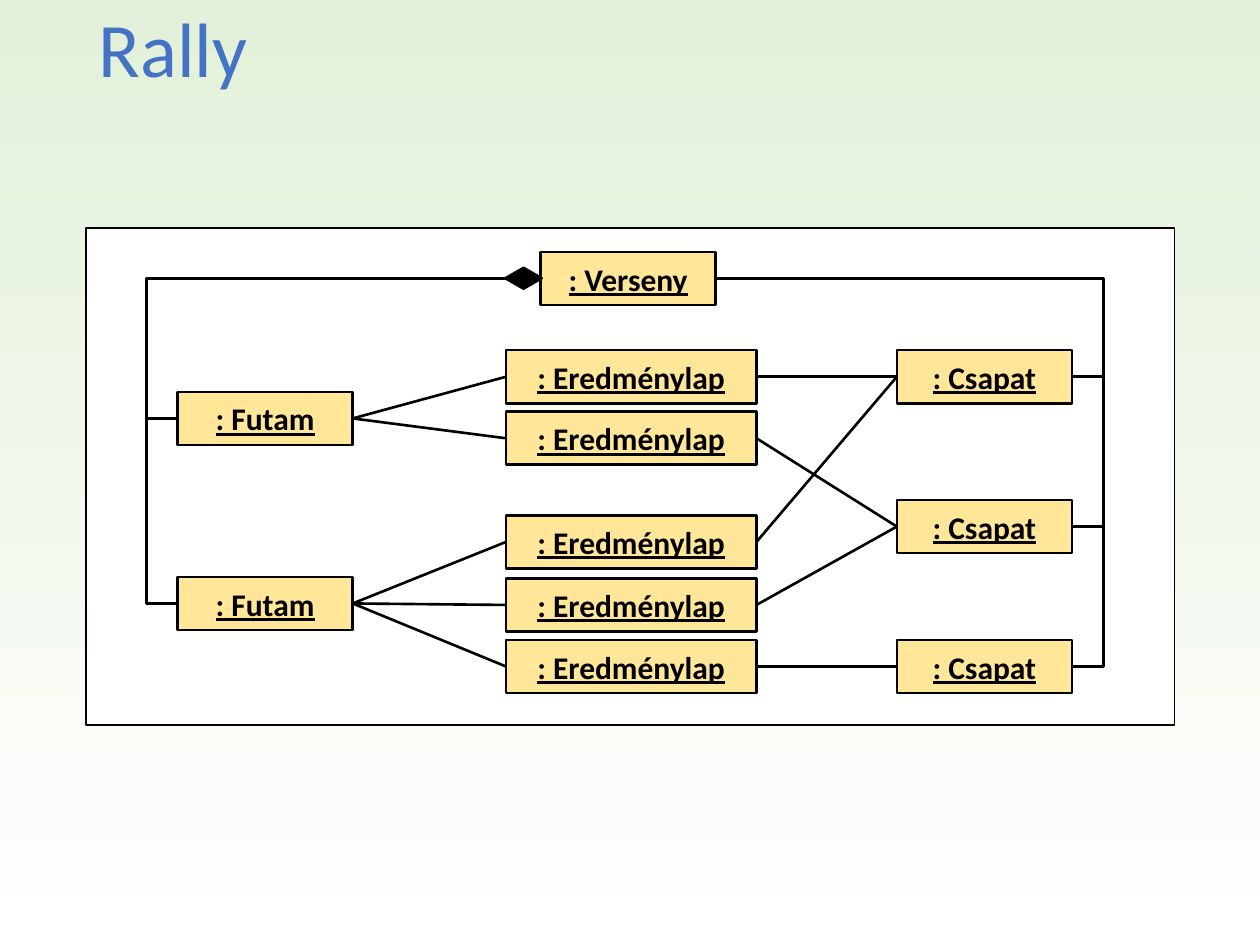
from dataclasses import dataclass

import pptx
import pptx.dml.color
import pptx.enum.shapes
import pptx.enum.text
import pptx.oxml
import pptx.util
from pptx.util import Cm

FONT = "Calibri"
BLACK, WHITE, SAND, BLUE, GREEN = "000000", "FFFFFF", "FFE699", "4472C4", "E2F0D9"
LEFT, RIGHT = 1, 3  # connection sites of a rectangle
Kind = pptx.enum.shapes.MSO_SHAPE
Link = pptx.enum.shapes.MSO_CONNECTOR
Align = pptx.enum.text.PP_ALIGN
Anchor = pptx.enum.text.MSO_ANCHOR


@dataclass
class Box:
    """An object box; lengths in centimetres."""
    text: str
    left: float
    top: float
    width: float = 3.53
    height: float = 1.07

    def port(self, side: int) -> tuple:
        x = self.left + (self.width if side == RIGHT else 0)
        return Cm(x), Cm(self.top + self.height / 2)


def color(code: str):
    return pptx.dml.color.RGBColor.from_string(code)


def style(run, size: float, code: str) -> None:
    run.font.name = FONT
    run.font.size = pptx.util.Pt(size)
    run.font.color.rgb = color(code)


def draw_shape(slide, kind, spot: tuple, fill: str, width: float):
    shape = slide.shapes.add_shape(kind, *(Cm(n) for n in spot))
    shape.shadow.inherit = False
    shape.fill.solid()
    shape.fill.fore_color.rgb = color(fill)
    shape.line.color.rgb = color(BLACK)
    shape.line.width = pptx.util.Pt(width)
    return shape


def draw_box(slide, box: Box):
    spot = (box.left, box.top, box.width, box.height)
    shape = draw_shape(slide, Kind.RECTANGLE, spot, SAND, 1.5)
    frame = shape.text_frame
    frame.text = box.text
    frame.vertical_anchor = Anchor.MIDDLE
    para = frame.paragraphs[0]
    para.alignment = Align.CENTER
    run = para.runs[0]
    style(run, 18, BLACK)
    run.font.bold = run.font.underline = True
    return shape


def draw_link(slide, kind, start: tuple, end: tuple):
    """Join two (box, shape, side) ends."""
    line = slide.shapes.add_connector(kind, *start[0].port(start[2]), *end[0].port(end[2]))
    line.begin_connect(start[1], start[2])
    line.end_connect(end[1], end[2])
    line.line.color.rgb = color(BLACK)
    line.line.width = pptx.util.Pt(1.5)
    line._element.spPr.append(pptx.oxml.parse_xml(
        '<a:effectLst xmlns:a="http://schemas.openxmlformats.org/drawingml/2006/main"/>'))
    return line


def draw_bend(slide, start: tuple, end: tuple, gap: float = 0.63) -> None:
    """Join two ends by an elbow that runs past the far end by gap."""
    line = draw_link(slide, Link.ELBOW, start, end)
    guides = line._element.spPr.prstGeom.get_or_add_avLst()
    ratio = 1 + Cm(gap) / line.width
    guides.append(pptx.oxml.parse_xml(
        '<a:gd xmlns:a="http://schemas.openxmlformats.org/drawingml/2006/main" '
        f'name="adj1" fmla="val {round(ratio * 100000)}"/>'))


def main() -> None:
    deck = pptx.Presentation()
    deck.slide_width, deck.slide_height = Cm(25.4), Cm(19.05)
    slide = deck.slides.add_slide(deck.slide_layouts[5])

    # Background: white at the foot, green at the top
    fill = slide.background.fill
    fill.gradient()
    fill.gradient_angle = 90
    for stop, code in zip(fill.gradient_stops, (WHITE, GREEN)):
        stop.color.rgb = color(code)

    # Title
    title = slide.shapes.title
    title.left, title.top, title.width, title.height = Cm(1.73), Cm(0.1), Cm(21.89), Cm(3.68)
    frame = title.text_frame
    frame.text = "Rally"
    frame.auto_size = pptx.enum.text.MSO_AUTO_SIZE.NONE
    frame.vertical_anchor = Anchor.TOP
    para = frame.paragraphs[0]
    para.alignment = Align.LEFT
    para.line_spacing = 0.9
    style(para.runs[0], 44, BLUE)

    # Frame and object boxes
    draw_shape(slide, Kind.RECTANGLE, (1.73, 4.6, 21.95, 10.01), WHITE, 1)
    race = Box(": Verseny", 10.9, 5.08)
    heats = [Box(": Futam", 3.58, y) for y in (7.9, 11.63)]
    sheets = [Box(": Eredménylap", 10.2, y, 5.05) for y in (7.06, 8.3, 10.39, 11.66, 12.9)]
    teams = [Box(": Csapat", 18.08, y) for y in (7.06, 10.08, 12.9)]
    root = (race, draw_box(slide, race))
    heats, sheets, teams = ([(box, draw_box(slide, box)) for box in group]
                            for group in (heats, sheets, teams))

    # Elbows from the race to its heats and teams
    for side, far, group in ((LEFT, LEFT, heats), (RIGHT, RIGHT, teams)):
        for item in group:
            draw_bend(slide, (*root, side), (*item, far))

    # Each sheet joins one heat and one team
    for sheet, heat, team in zip(sheets, (0, 0, 1, 1, 1), (0, 1, 0, 1, 2)):
        draw_link(slide, Link.STRAIGHT, (*sheet, LEFT), (*heats[heat], RIGHT))
        draw_link(slide, Link.STRAIGHT, (*teams[team], LEFT), (*sheet, RIGHT))

    # Diamond of the whole
    draw_shape(slide, Kind.DIAMOND, (10.19, 5.4, 0.73, 0.42), BLACK, 1.5)

    deck.save("out.pptx")


if __name__ == "__main__":
    main()
